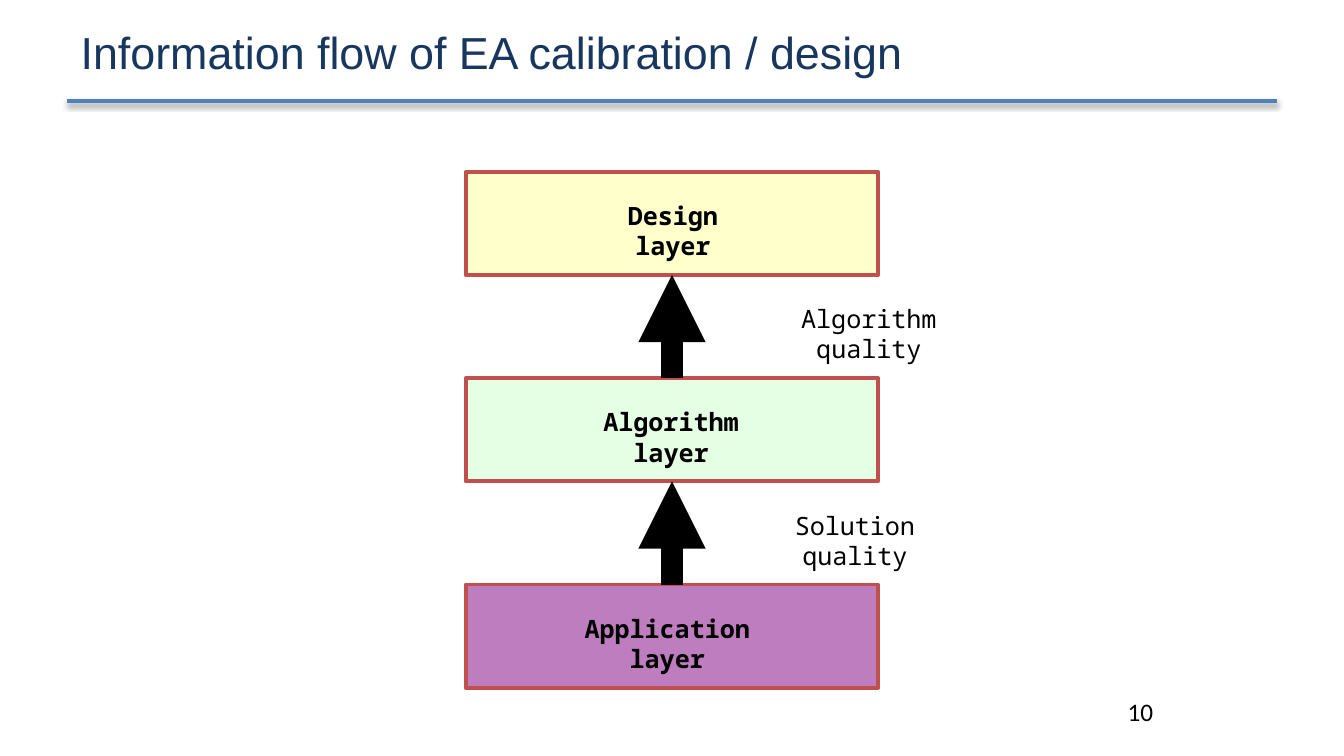
import dataclasses
import pptx
import pptx.util
import pptx.dml.color
import pptx.enum.shapes
import pptx.enum.text
import pptx.oxml
import pptx.oxml.ns

Pt = pptx.util.Pt
ALIGN = pptx.enum.text.PP_ALIGN
ANCHOR = pptx.enum.text.MSO_ANCHOR
NS = pptx.oxml.ns.nsdecls("a")


@dataclasses.dataclass
class Theme:
    title: str = "17375E"
    rule: str = "4F81BD"
    border: str = "C0504D"
    ink: str = "000000"
    design: str = "FFFF99"
    algorithm: str = "CCFFCC"
    application: str = "800080"
    title_size: float = 24
    text_size: float = 13.5
    title_font: str = "Arial"
    number_font: str = "Calibri"
    label_font: str = "Noto Sans Mono"


theme = Theme()


def rgb(value):
    return pptx.dml.color.RGBColor.from_string(value)


def set_font(p, name, size, color, bold=False):
    p.font.name, p.font.size, p.font.bold = name, Pt(size), bold
    p.font.color.rgb = rgb(color)


def add_text(s, box, text, font, bold=False, align=ALIGN.CENTER):
    tf = s.shapes.add_textbox(*map(Pt, box)).text_frame
    tf.word_wrap = True
    p = tf.paragraphs[0]
    p.text, p.alignment = text, align
    set_font(p, font, theme.text_size, theme.ink, bold)


def add_line(s, start, end, color, width, effects=""):
    line = s.shapes.add_connector(
        pptx.enum.shapes.MSO_CONNECTOR.STRAIGHT, *map(Pt, start + end))
    line.line.color.rgb = rgb(color)
    line.line.width = Pt(width)
    line._element.spPr.append(pptx.oxml.parse_xml(
        f"<a:effectLst {NS}>{effects}</a:effectLst>"))
    return line


def add_header(s, box, text):
    x, y, w, h = box
    title = s.shapes.title
    title.left, title.top, title.width, title.height = map(Pt, box)
    tf = title.text_frame
    tf.margin_top = tf.margin_bottom = 0
    tf.vertical_anchor = ANCHOR.MIDDLE
    p = tf.paragraphs[0]
    p.text, p.alignment = text, ALIGN.LEFT
    set_font(p, theme.title_font, theme.title_size, theme.title)
    shadow = (f'<a:outerShdw blurRad="{Pt(3.1)}" dist="{Pt(1.6)}" dir="5400000" '
              'rotWithShape="0"><a:srgbClr val="000000"><a:alpha val="38000"/>'
              '</a:srgbClr></a:outerShdw>')
    add_line(s, (x, y + h), (x + w, y + h), theme.rule, 2, shadow)


def add_layer(s, box, color, opacity, caption, caption_x, caption_w):
    x, y, w, h = box
    rect = s.shapes.add_shape(
        pptx.enum.shapes.MSO_SHAPE.RECTANGLE, *map(Pt, box))
    rect.shadow.inherit = False
    rect.fill.solid()
    rect.fill.fore_color.rgb = rgb(color)
    fill = rect._element.spPr.find(pptx.oxml.ns.qn("a:solidFill"))
    fill[0].append(pptx.oxml.parse_xml(
        f'<a:alpha {NS} val="{opacity * 1000}"/>'))
    rect.line.color.rgb = rgb(theme.border)
    rect.line.width = Pt(2)
    add_text(s, (x + caption_x, y + 11.75, caption_w, 24), caption,
             theme.label_font, bold=True)


def add_flow(s, box, label, label_x, label_w):
    x, y, w, h = box
    center = x + w / 2
    arrow = add_line(s, (center, y + h), (center, y), theme.ink, 12)
    arrow.line._get_or_add_ln().append(
        pptx.oxml.parse_xml(f'<a:tailEnd {NS} type="triangle"/>'))
    add_text(s, (x + label_x, y + 11.75, label_w, 24), label, theme.label_font)


def add_stack(s, box, layers, flows):
    x, y, w, h = box
    step = h / (len(layers) + len(flows))
    for i, layer in enumerate(layers):
        add_layer(s, (x, y + 2 * i * step, w, step), *layer)
    for i, flow in enumerate(flows):
        add_flow(s, (x, y + (2 * i + 1) * step, w, step), *flow)


prs = pptx.Presentation()
prs.slide_width, prs.slide_height = Pt(720), Pt(405)
s = prs.slides.add_slide(prs.slide_layouts[5])
add_header(s, (36, 1.5, 648, 52.5), "Information flow of EA calibration / design")
add_stack(
    s, (249.5, 92, 221, 276.5),
    [(theme.design, 50, "Design layer", 64.5, 93),
     (theme.algorithm, 50, "Algorithm layer", 55.5, 109),
     (theme.application, 51, "Application layer", 48.5, 119)],
    [("Algorithm quality", 158.5, 115),
     ("Solution quality", 155, 107)])
add_text(s, (597, 369.5, 33, 29.5), "10", theme.number_font, align=ALIGN.LEFT)
prs.save("out.pptx")
